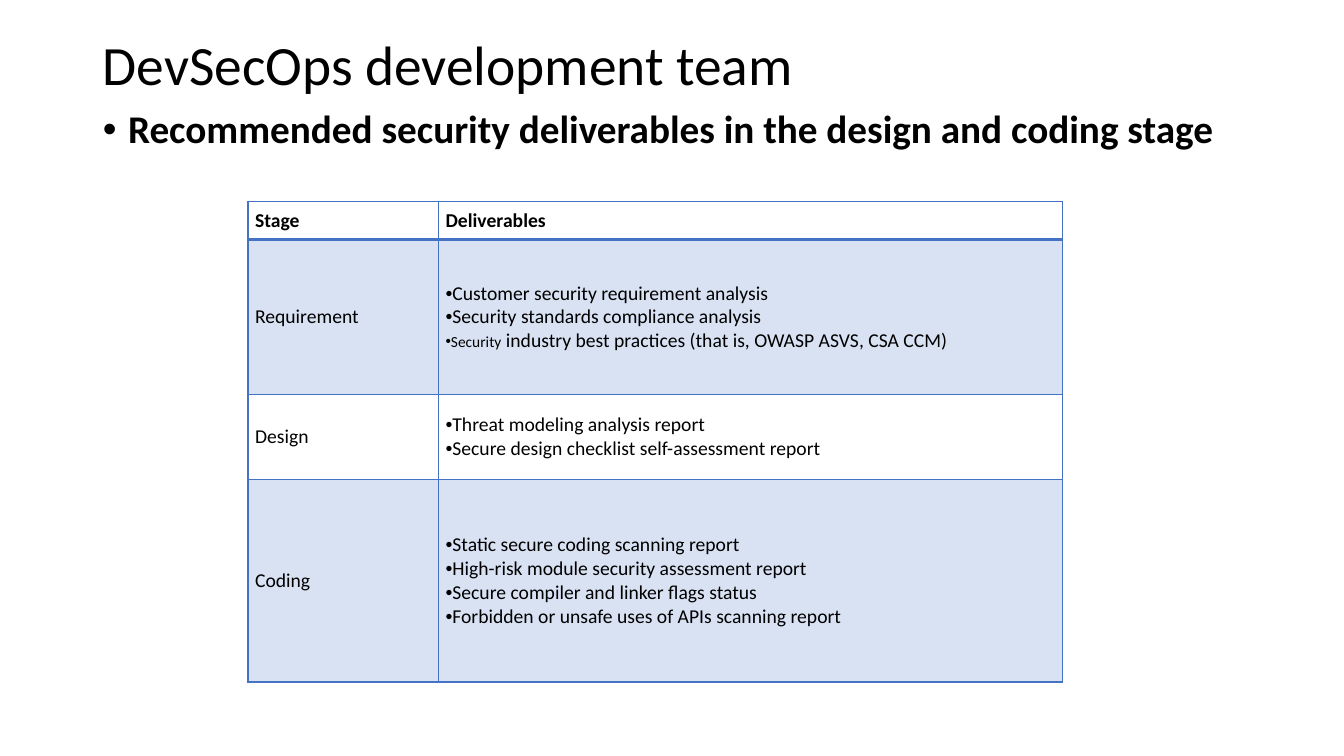
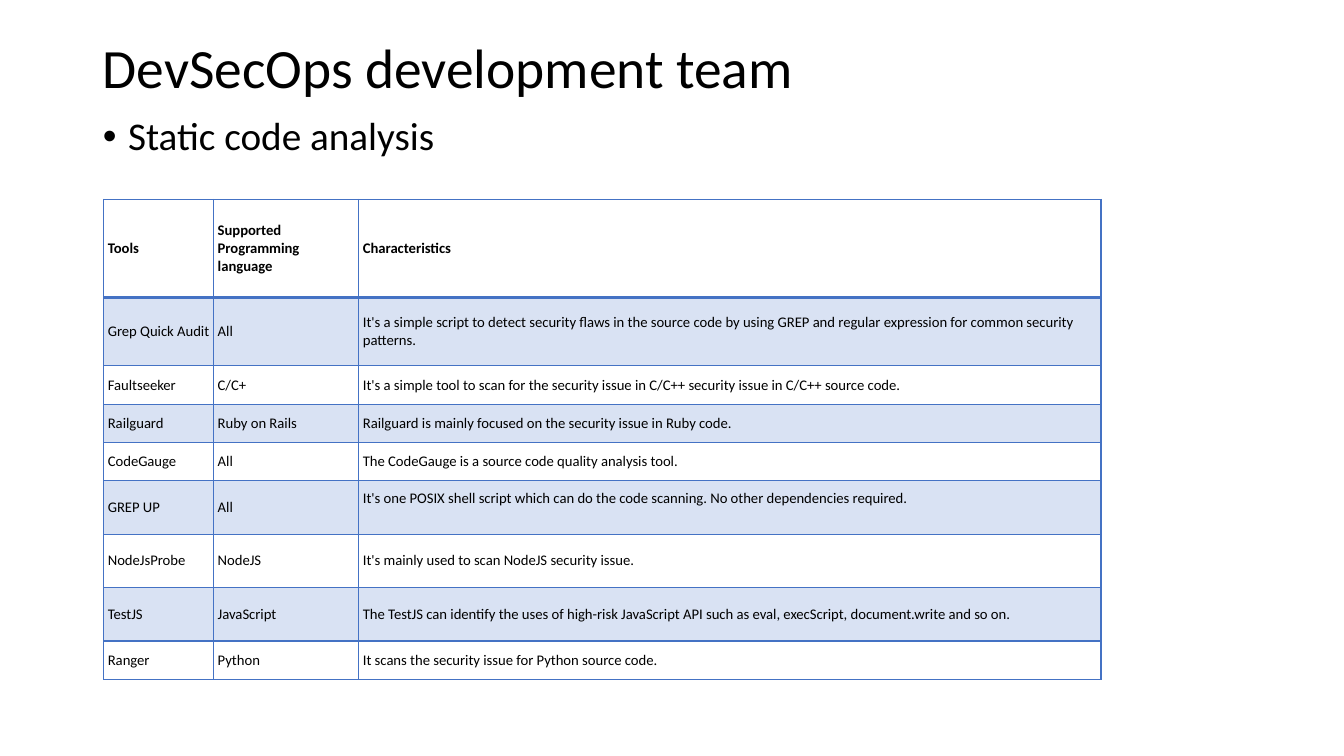
from lxml import etree
from pptx import Presentation
from pptx.dml.color import RGBColor
from pptx.enum import text
from pptx.oxml import ns
from pptx.util import Inches, Pt

COLORS = {"ink": "000000", "accent": "4472C4"}
FONT = "Calibri"
TITLE = "DevSecOps development team"
BAND_ALPHA = 20
LEFT, WIDTH, TITLE_TOP, BODY_BOTTOM = 0.92, 11.5, 0.4, 6.76

SLIDES = [
    {
        "title_height": 0.53, "body_top": 1.04,
        "point": "Recommended security deliverables in the design and coding stage",
        "point_bold": True,
        "table": {
            "left": 2.46, "top": 2, "size": 14, "margin": 0.07,
            "columns": [1.89, 6.19], "heights": [0.37, 1.54, 0.84, 2.01],
            "rows": [
                ["Stage", "Deliverables"],
                ["Requirement", [
                    "Customer security requirement analysis",
                    "Security standards compliance analysis",
                    [("Security", 11),
                     (" industry best practices (that is, OWASP ASVS, CSA CCM)", 14)],
                ]],
                ["Design", [
                    "Threat modeling analysis report",
                    "Secure design checklist self-assessment report",
                ]],
                ["Coding", [
                    "Static secure coding scanning report",
                    "High-risk module security assessment report",
                    "Secure compiler and linker flags status",
                    "Forbidden or unsafe uses of APIs scanning report",
                ]],
            ],
        },
    },
    {
        "title_height": 0.6, "body_top": 1.11,
        "point": "Static code analysis",
        "point_bold": False,
        "table": {
            "left": 1.03, "top": 1.98, "size": 10.5, "margin": 0.04,
            "columns": [1.09, 1.44, 7.36],
            "heights": [0.97, 0.68, 0.38, 0.38, 0.38, 0.53, 0.53, 0.53, 0.38],
            "raised": (5, 2, 0.22),
            "rows": [
                ["Tools", "Supported Programming language", "Characteristics"],
                ["Grep Quick Audit", "All",
                 "It's a simple script to detect security flaws in the source code by using "
                 "GREP and regular expression for common security patterns."],
                ["Faultseeker", "C/C+",
                 "It's a simple tool to scan for the security issue in C/C++ security issue "
                 "in C/C++ source code."],
                ["Railguard", "Ruby on Rails",
                 "Railguard is mainly focused on the security issue in Ruby code."],
                ["CodeGauge", "All", "The CodeGauge is a source code quality analysis tool."],
                ["GREP UP", "All",
                 "It's one POSIX shell script which can do the code scanning. "
                 "No other dependencies required."],
                ["NodeJsProbe", "NodeJS", "It's mainly used to scan NodeJS security issue."],
                ["TestJS", "JavaScript",
                 "The TestJS can identify the uses of high-risk JavaScript API such as eval, "
                 "execScript, document.write and so on."],
                ["Ranger", "Python", "It scans the security issue for Python source code."],
            ],
        },
    },
]


def apply(target, values):
    for name, value in values.items():
        setattr(target, name, value)


def add_span(para, words, size, bold=False):
    span = para.add_run()
    span.text = words
    apply(span.font, {"name": FONT, "size": Pt(size), "bold": bold})
    span.font.color.rgb = RGBColor.from_string(COLORS["ink"])


def add_bullet(para, indent):
    props = para._p.get_or_add_pPr()
    props.set("marL", str(Inches(indent)))
    props.set("indent", str(-Inches(indent)))
    etree.SubElement(props, ns.qn("a:buFont")).set("typeface", "Arial")
    etree.SubElement(props, ns.qn("a:buChar")).set("char", "•")


def fill_placeholder(box, top, height, words, size, bold, anchor, space):
    apply(box, {"left": Inches(LEFT), "top": Inches(top),
                "width": Inches(WIDTH), "height": Inches(height)})
    apply(box.text_frame, {"vertical_anchor": anchor, "word_wrap": True,
                           "auto_size": text.MSO_AUTO_SIZE.NONE})
    para = box.text_frame.paragraphs[0]
    apply(para, {"alignment": text.PP_ALIGN.LEFT, "line_spacing": 0.9,
                 "space_before": Pt(space)})
    add_span(para, words, size, bold)
    return para


def set_borders(cell, row):
    props = cell._tc.get_or_add_tcPr()
    widths = {"L": 1, "R": 1, "T": 2 if row == 1 else 1, "B": 2 if row == 0 else 1}
    for position, (side, width) in enumerate(widths.items()):
        line = etree.Element(ns.qn("a:ln" + side), w=str(Pt(width)))
        solid = etree.SubElement(line, ns.qn("a:solidFill"))
        etree.SubElement(solid, ns.qn("a:srgbClr")).set("val", COLORS["accent"])
        props.insert(position, line)


def set_fill(cell, banded):
    if not banded:
        cell.fill.background()
        return
    cell.fill.solid()
    cell.fill.fore_color.rgb = RGBColor.from_string(COLORS["accent"])
    color = cell._tc.tcPr.find(ns.qn("a:solidFill")).find(ns.qn("a:srgbClr"))
    etree.SubElement(color, ns.qn("a:alpha")).set("val", str(BAND_ALPHA * 1000))


def fill_cell(cell, content, row, size, margin):
    apply(cell, {"vertical_anchor": text.MSO_ANCHOR.MIDDLE})
    apply(cell, {"margin_" + side: Inches(margin)
                 for side in ("left", "right", "top", "bottom")})
    set_fill(cell, row % 2 == 1)
    set_borders(cell, row)
    bulleted = isinstance(content, list)
    for number, item in enumerate(content if bulleted else [content]):
        frame = cell.text_frame
        para = frame.add_paragraph() if number else frame.paragraphs[0]
        if bulleted:
            add_bullet(para, 0)
        for words, points in item if isinstance(item, list) else [(item, size)]:
            add_span(para, words, points, row == 0)


def add_grid(page, left, top, size, margin, columns, heights, rows, raised=None):
    table = page.shapes.add_table(
        len(rows), len(columns), Inches(left), Inches(top),
        Inches(sum(columns)), Inches(sum(heights))).table
    apply(table, {"first_row": False, "horz_banding": False})
    for column, width in zip(table.columns, columns):
        column.width = Inches(width)
    for line, height in zip(table.rows, heights):
        line.height = Inches(height)
    for row, contents in enumerate(rows):
        for column, content in enumerate(contents):
            fill_cell(table.cell(row, column), content, row, size, margin)
    if raised:
        row, column, bottom = raised
        table.cell(row, column).margin_bottom = Inches(bottom)


deck = Presentation()
apply(deck, {"slide_width": Inches(13.33), "slide_height": Inches(7.5)})
for content in SLIDES:
    page = deck.slides.add_slide(deck.slide_layouts[1])
    fill_placeholder(page.shapes.title, TITLE_TOP, content["title_height"], TITLE,
                     39.6, False, text.MSO_ANCHOR.MIDDLE, 0)
    top = content["body_top"]
    point = fill_placeholder(page.placeholders[1], top, BODY_BOTTOM - top, content["point"],
                             28, content["point_bold"], text.MSO_ANCHOR.TOP, 10)
    add_bullet(point, 0.25)
    add_grid(page, **content["table"])
deck.save("out.pptx")
